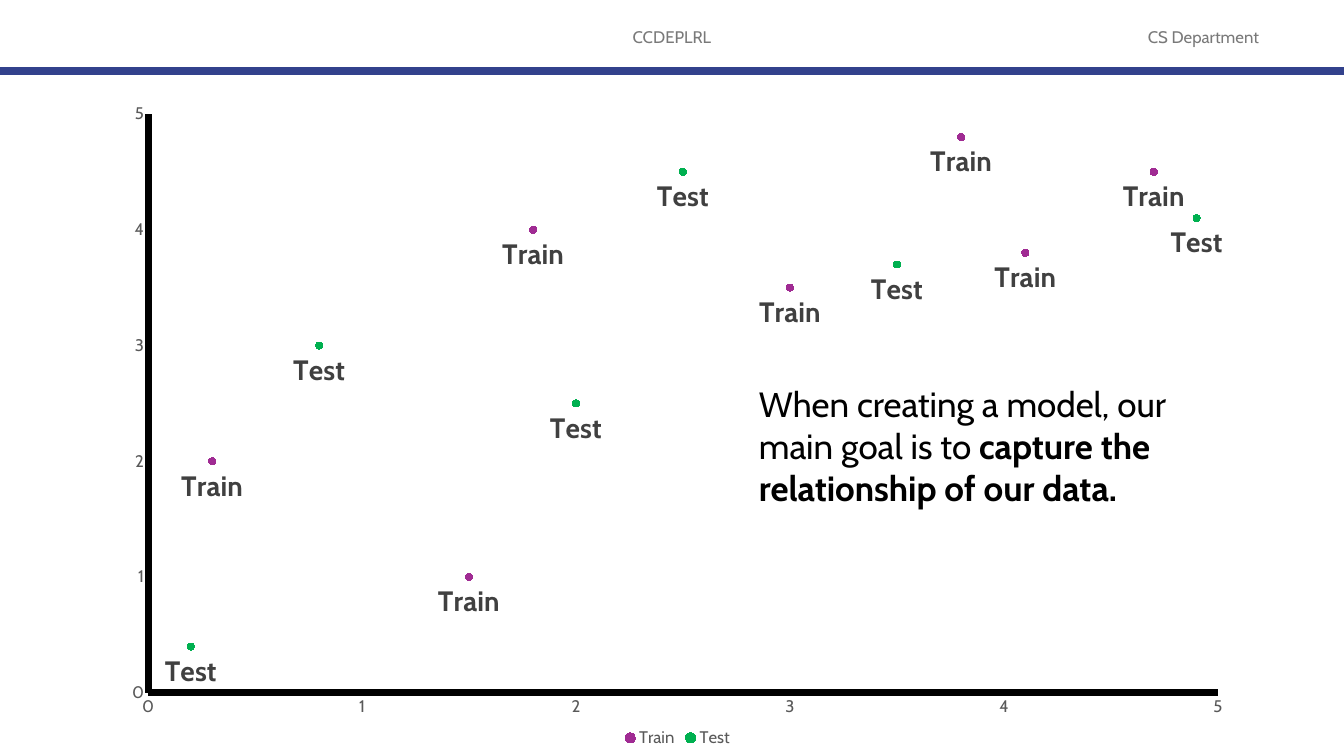
"""Build a slide with a labelled scatter chart of train and test data."""
from lxml import etree
from pptx import Presentation, util as u
from pptx.chart.data import XyChartData
from pptx.chart.datalabel import DataLabels
from pptx.dml.color import RGBColor
from pptx.enum import chart as ch, shapes, text
from pptx.oxml.ns import qn

PX = 914400 / 100.8
FONT = "Cabin"
COLORS = {"header": "797979", "rule": "32418C", "ink": "000000", "axis": "595959",
          "label": "404040", "Train": "A02B93", "Test": "00B050"}
POINTS = {
    "Train": [(0.3, 2), (1.5, 1), (1.8, 4), (3, 3.5), (3.8, 4.8), (4.1, 3.8), (4.7, 4.5)],
    "Test": [(0.2, 0.4), (0.8, 3), (2, 2.5), (2.5, 4.5), (3.5, 3.7), (4.9, 4.1)],
}
AXIS = {"minimum_scale": 0, "maximum_scale": 5, "major_unit": 1,
        "has_major_gridlines": False, "has_minor_gridlines": False, "has_title": False,
        "major_tick_mark": ch.XL_TICK_MARK.NONE, "minor_tick_mark": ch.XL_TICK_MARK.NONE}
LABELS = {"show_series_name": True, "show_value": False, "show_legend_key": False,
          "position": ch.XL_LABEL_POSITION.BELOW}
CHART_BOX = (109, 91, 1137, 661)
PLOT_BOX = (148, 114, 1070, 579)


def px(*values):
    return [u.Emu(round(v * PX)) for v in values]


def rgb(name):
    return RGBColor.from_string(COLORS[name])


def set_all(obj, values):
    for name, value in values.items():
        setattr(obj, name, value)


def set_font(font, size, color, bold=False):
    set_all(font, {"name": FONT, "size": u.Pt(size), "bold": bold})
    font.color.rgb = rgb(color)


def set_line(line, color, width):
    line.color.rgb = rgb(color)
    line.width = u.Pt(width)


def add_text(s, box, runs, size, color, align=text.PP_ALIGN.LEFT, anchor=text.MSO_ANCHOR.TOP):
    tf = s.shapes.add_textbox(*px(*box)).text_frame
    set_all(tf, {"word_wrap": True, "vertical_anchor": anchor})
    p = tf.paragraphs[0]
    p.alignment = align
    for words, bold in runs:
        r = p.add_run()
        r.text = words
        set_font(r.font, size, color, bold)


def add_header(s, box, words):
    add_text(s, box, [(words, False)], 12, "header",
             text.PP_ALIGN.CENTER, text.MSO_ANCHOR.MIDDLE)


def add_rule(s, y):
    sp = s.shapes.add_connector(shapes.MSO_CONNECTOR.STRAIGHT, *px(0, y, 1344, y))
    set_line(sp.line, "rule", 6)
    etree.SubElement(sp._element.spPr, qn("a:effectLst"))


def place_plot(chart):
    left, top, width, height = CHART_BOX
    x, y, w, h = PLOT_BOX
    area = chart._chartSpace.find(".//" + qn("c:plotArea"))
    for old in area.findall(qn("c:layout")):
        area.remove(old)
    layout = etree.Element(qn("c:layout"))
    manual = etree.SubElement(layout, qn("c:manualLayout"))
    values = {"layoutTarget": "inner", "xMode": "edge", "yMode": "edge",
              "x": (x - left) / width, "y": (y - top) / height,
              "w": w / width, "h": h / height}
    for tag, value in values.items():
        etree.SubElement(manual, qn("c:" + tag)).set("val", str(value))
    area.insert(0, layout)


def format_axis(axis):
    set_all(axis, AXIS)
    set_all(axis.tick_labels, {"number_format": "0", "number_format_is_linked": False})
    set_font(axis.tick_labels.font, 12, "axis")
    set_line(axis.format.line, "ink", 5)


def format_series(series):
    series.format.line.fill.background()
    set_all(series.marker, {"style": ch.XL_MARKER_STYLE.CIRCLE, "size": 5})
    fmt = series.marker.format
    fmt.fill.solid()
    fmt.fill.fore_color.rgb = rgb(series.name)
    set_line(fmt.line, series.name, 0.75)
    labels = DataLabels(series._element.get_or_add_dLbls())
    set_all(labels, LABELS)
    set_font(labels.font, 20, "label", True)


def add_scatter(s):
    data = XyChartData()
    for name, points in POINTS.items():
        series = data.add_series(name)
        for x, y in points:
            series.add_data_point(x, y)
    chart = s.shapes.add_chart(ch.XL_CHART_TYPE.XY_SCATTER, *px(*CHART_BOX), data).chart
    set_all(chart, {"has_title": False, "has_legend": True})
    set_font(chart.font, 10, "ink")
    set_all(chart.legend, {"position": ch.XL_LEGEND_POSITION.BOTTOM,
                           "include_in_layout": False})
    set_font(chart.legend.font, 12, "axis")
    chart.plots[0].vary_by_categories = False
    for axis in (chart.category_axis, chart.value_axis):
        format_axis(axis)
    for series in chart.plots[0].series:
        format_series(series)
    place_plot(chart)


def main():
    prs = Presentation()
    prs.slide_width, prs.slide_height = px(1344, 756)
    s = prs.slides.add_slide(prs.slide_layouts[6])
    add_header(s, (445, 17, 454, 40), "CCDEPLRL")
    add_header(s, (1100, 17, 207, 40), "CS Department")
    add_rule(s, 71)
    add_scatter(s)
    add_text(s, (749, 378, 479, 137),
             [("When creating a model, our main goal is to ", False),
              ("capture the relationship of our data.", True)], 25, "ink")
    prs.save("out.pptx")


if __name__ == "__main__":
    main()
